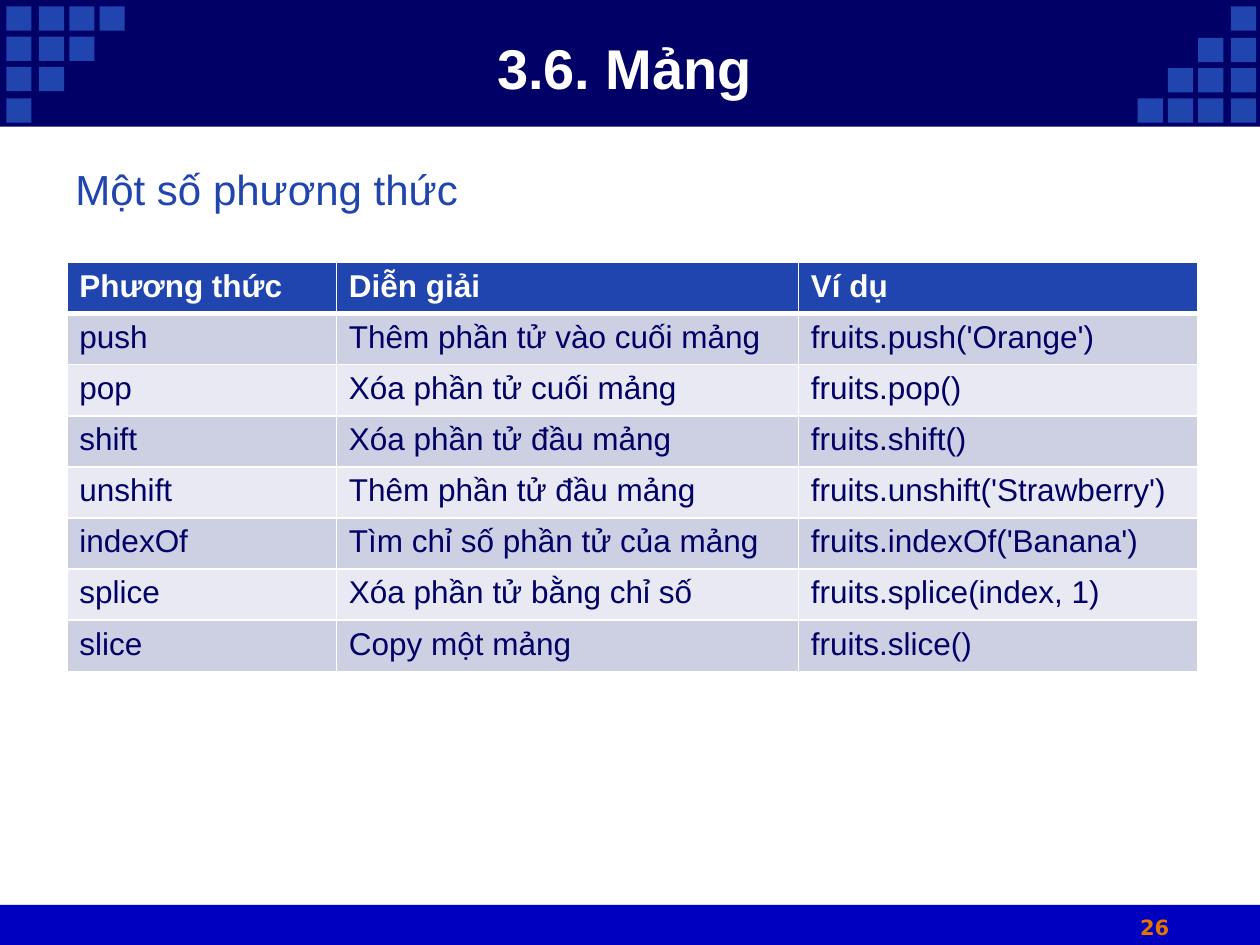
from typing import NamedTuple

from lxml import etree
from pptx import Presentation
from pptx.dml.color import RGBColor
from pptx.enum.shapes import MSO_SHAPE
from pptx.enum.text import MSO_ANCHOR, PP_ALIGN
from pptx.oxml.ns import qn
from pptx.util import Pt

RECTANGLE = MSO_SHAPE.RECTANGLE
CENTER = PP_ALIGN.CENTER
JUSTIFY = PP_ALIGN.JUSTIFY
LEFT = PP_ALIGN.LEFT
MIDDLE = MSO_ANCHOR.MIDDLE
TOP = MSO_ANCHOR.TOP

WHITE = "FFFFFF"
NAVY = "000066"
BLUE = "2045AE"
FOOTER_BLUE = "0000C0"
ORANGE = "E57300"
BULLET_NAVY = "00004D"
BAND_FILLS = ("CDCFE3", "E8E9F2")


class Box(NamedTuple):
    left: float
    top: float
    width: float
    height: float

    def in_points(self):
        return [Pt(length) for length in self]


class Method(NamedTuple):
    name: str
    meaning: str
    example: str


HEADINGS = Method("Phương thức", "Diễn giải", "Ví dụ")
METHODS = [
    Method("push", "Thêm phần tử vào cuối mảng", "fruits.push('Orange')"),
    Method("pop", "Xóa phần tử cuối mảng", "fruits.pop()"),
    Method("shift", "Xóa phần tử đầu mảng", "fruits.shift()"),
    Method("unshift", "Thêm phần tử đầu mảng", "fruits.unshift('Strawberry')"),
    Method("indexOf", "Tìm chỉ số phần tử của mảng", "fruits.indexOf('Banana')"),
    Method("splice", "Xóa phần tử bằng chỉ số", "fruits.splice(index, 1)"),
    Method("slice", "Copy một mảng", "fruits.slice()"),
]
COLUMN_WIDTHS = (154, 264, 228.5)
ROW_HEIGHT = 29.2

SQUARE_LEFTS = (3.6, 22.3, 39.6, 56.9)
SQUARE_TOPS = (3.6, 20.9, 38.2, 56.2)
SQUARE_WIDTH, SQUARE_HEIGHT = 14.4, 13.9
MIRROR_LEFT, MIRROR_TOP = 707, 59.8


def color(hex_code: str) -> RGBColor:
    return RGBColor.from_string(hex_code)


def add_block(slide, box: Box, fill: str) -> None:
    block = slide.shapes.add_shape(RECTANGLE, *box.in_points())
    block.shadow.inherit = False
    block.fill.solid()
    block.fill.fore_color.rgb = color(fill)
    block.line.fill.background()


def add_corner_squares(slide) -> None:
    """Draw a staircase at top left and the same one half-turned at right."""
    for row, top in enumerate(SQUARE_TOPS):
        for left in SQUARE_LEFTS[:len(SQUARE_LEFTS) - row]:
            for x, y in ((left, top), (MIRROR_LEFT - left, MIRROR_TOP - top)):
                add_block(slide, Box(x, y, SQUARE_WIDTH, SQUARE_HEIGHT), BLUE)


def write(frame, text: str, size: float, hex_code: str, bold: bool = False,
          align=LEFT, font_name: str = "Arial"):
    frame.text = text
    paragraph = frame.paragraphs[0]
    paragraph.alignment = align
    font = paragraph.font
    font.name, font.size, font.bold = font_name, Pt(size), bold
    font.color.rgb = color(hex_code)
    return paragraph


def add_text_box(slide, box: Box):
    frame = slide.shapes.add_textbox(*box.in_points()).text_frame
    frame.word_wrap = True
    frame.vertical_anchor = TOP
    return frame


def set_title(slide, text: str, box: Box) -> None:
    title = slide.shapes.title
    title.left, title.top, title.width, title.height = box.in_points()
    title.text_frame.vertical_anchor = MIDDLE
    write(title.text_frame, text, 32, WHITE, bold=True, align=CENTER)
    # The title has to lie in front of the header band.
    title.element.getparent().append(title.element)


def add_bullet_text(slide, text: str, box: Box) -> None:
    frame = add_text_box(slide, box)
    properties = frame.paragraphs[0]._p.get_or_add_pPr()
    properties.set("marL", str(Pt(36)))
    properties.set("indent", str(-Pt(36)))
    bullet_color = etree.SubElement(properties, qn("a:buClr"))
    etree.SubElement(bullet_color, qn("a:srgbClr"), val=BULLET_NAVY)
    etree.SubElement(properties, qn("a:buFont"), typeface="Arial")
    etree.SubElement(properties, qn("a:buChar"), char="•")
    paragraph = write(frame, text, 24, BLUE, align=JUSTIFY)
    paragraph.line_spacing = Pt(33.6)


def set_borders(cell, top: float, bottom: float) -> None:
    properties = cell._tc.get_or_add_tcPr()
    for side, width in (("L", 1), ("R", 1), ("T", top), ("B", bottom)):
        line = etree.SubElement(properties, qn(f"a:ln{side}"), w=str(Pt(width)))
        fill = etree.SubElement(line, qn("a:solidFill"))
        etree.SubElement(fill, qn("a:srgbClr"), val=WHITE)


def add_method_table(slide, left: float, top: float) -> None:
    rows = [HEADINGS, *METHODS]
    box = Box(left, top, sum(COLUMN_WIDTHS), ROW_HEIGHT * len(rows))
    table = slide.shapes.add_table(
        len(rows), len(COLUMN_WIDTHS), *box.in_points()).table
    for column, width in zip(table.columns, COLUMN_WIDTHS):
        column.width = Pt(width)
    for index, row in enumerate(rows):
        table.rows[index].height = Pt(ROW_HEIGHT)
        is_header = index == 0
        fill = BLUE if is_header else BAND_FILLS[(index - 1) % 2]
        for cell, text in zip(table.rows[index].cells, row):
            set_borders(cell, top=3 if index == 1 else 1,
                        bottom=3 if is_header else 1)
            cell.fill.solid()
            cell.fill.fore_color.rgb = color(fill)
            write(cell.text_frame, text, 18, WHITE if is_header else NAVY,
                  bold=is_header)


def main() -> None:
    presentation = Presentation()
    presentation.slide_width, presentation.slide_height = Pt(720), Pt(540)
    slide = presentation.slides.add_slide(
        presentation.slide_layouts.get_by_name("Title Only"))

    add_block(slide, Box(0, 517, 720, 23), FOOTER_BLUE)
    add_block(slide, Box(0, 0, 720, 72.4), NAVY)
    add_corner_squares(slide)
    page_number = add_text_box(slide, Box(635.8, 519, 48, 21))
    write(page_number, "26", 12, ORANGE, bold=True, align=CENTER,
          font_name="DejaVu Sans")
    set_title(slide, "3.6. Mảng", Box(66, 16, 582, 45))
    add_bullet_text(slide, "Một số phương thức", Box(36, 85, 648, 413))
    add_method_table(slide, 38.2, 150)

    presentation.save("out.pptx")


if __name__ == "__main__":
    main()
